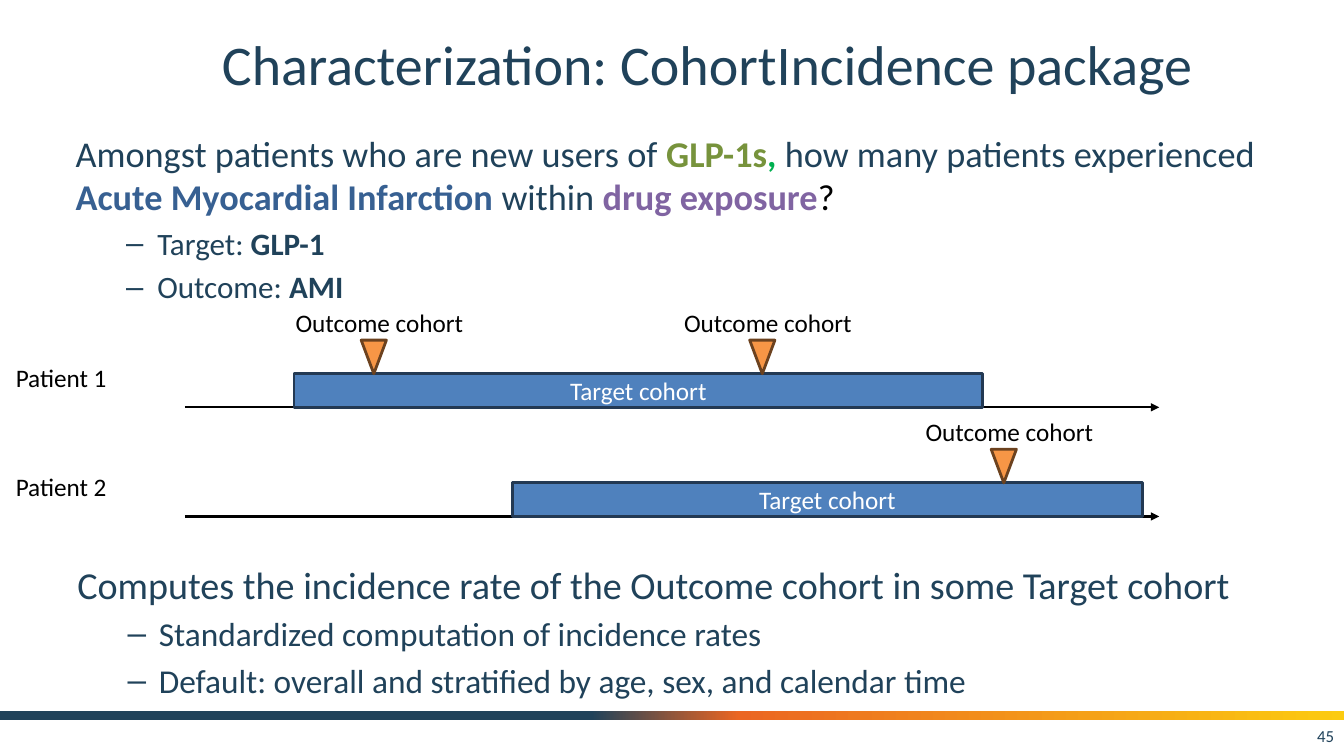
import pptx
import pptx.util
import pptx.dml.color
import pptx.enum.shapes
import pptx.enum.text
import pptx.oxml
import pptx.oxml.ns
from lxml import etree

RGB = pptx.dml.color.RGBColor
SHAPE = pptx.enum.shapes.MSO_SHAPE
ALIGN = pptx.enum.text.PP_ALIGN
ANCHOR = pptx.enum.text.MSO_ANCHOR
AUTO = pptx.enum.text.MSO_AUTO_SIZE
qn = pptx.oxml.ns.qn

NAVY = RGB(0x20, 0x42, 0x5A)
FLAME = RGB(0xEB, 0x66, 0x22)
YELLOW = RGB(0xFC, 0xCB, 0x10)
BLACK = RGB(0, 0, 0)
WHITE = RGB(255, 255, 255)
GREEN = RGB(0x77, 0x93, 0x3C)
BRIGHT_GREEN = RGB(0, 0xB0, 0x50)
BLUE = RGB(0x37, 0x60, 0x92)
PURPLE = RGB(0x80, 0x64, 0xA2)
BAR_FILL, BAR_LINE = RGB(0x4F, 0x81, 0xBD), RGB(0x23, 0x39, 0x53)
MARK_FILL, MARK_LINE = RGB(0xF7, 0x96, 0x46), RGB(0x6C, 0x42, 0x1F)

COLS = 160  # square grid, 160 columns by 90 rows
WIDTH, HEIGHT = pptx.util.Inches(13.33), pptx.util.Inches(7.5)
CELL = WIDTH / COLS


def grid(*cells):
    return [round(c * CELL) for c in cells]


def move(sp, box):
    for name, value in zip(("left", "top", "width", "height"), grid(*box)):
        setattr(sp, name, value)


def add_run(p, text, size, color, bold=False):
    r = p.add_run()
    r.text = text
    style = {"name": "Calibri", "size": pptx.util.Pt(size), "bold": bold}
    for name, value in style.items():
        setattr(r.font, name, value)
    r.font.color.rgb = color


def add_label(s, box, text, size=18, color=BLACK, align=ALIGN.LEFT, **frame):
    sp = s.shapes.add_textbox(*grid(*box))
    tf = sp.text_frame
    for name, value in frame.items():
        setattr(tf, name, value)
    tf.paragraphs[0].alignment = align
    add_run(tf.paragraphs[0], text, size, color)


def add_block(s, box, kind, fill, line):
    sp = s.shapes.add_shape(kind, *grid(*box))
    sp.shadow.inherit = False
    sp.fill.solid()
    sp.fill.fore_color.rgb = fill
    sp.line.color.rgb = line
    sp.line.width = pptx.util.Pt(2)
    return sp


def add_title(s, box, text):
    move(s.shapes.title, box)
    tf = s.shapes.title.text_frame
    tf.auto_size = AUTO.NONE
    add_run(tf.paragraphs[0], text, 40, NAVY)


def add_list(sp, box, size, sub_size, lead, items):
    """Fill a body placeholder with a plain lead paragraph and dashed items."""
    move(sp, box)
    tf = sp.text_frame
    tf.auto_size = AUTO.NONE
    p = tf.paragraphs[0]
    pPr = p._p.get_or_add_pPr()
    pPr.set("marL", "0")
    pPr.set("indent", "0")
    etree.SubElement(pPr, qn("a:buNone"))
    p.space_before = pptx.util.Pt(0)
    for run in lead:
        add_run(p, run[0], size, *run[1:])
    for item in items:
        p = tf.add_paragraph()
        p.level = 1
        pPr = p._p.get_or_add_pPr()
        pPr.set("marL", str(pptx.util.Inches(0.81)))
        pPr.set("indent", str(pptx.util.Inches(-0.31)))
        for run in item:
            add_run(p, run[0], sub_size, *run[1:])


def add_axis(s, left, right, row):
    ends = grid(left, row, right, row)
    cxn = s.shapes.add_connector(pptx.enum.shapes.MSO_CONNECTOR.STRAIGHT, *ends)
    cxn.line.color.rgb = BLACK
    cxn.line.width = pptx.util.Pt(1.5)
    etree.SubElement(cxn.line._get_or_add_ln(), qn("a:tailEnd"), type="triangle")
    etree.SubElement(cxn._element.spPr, qn("a:effectLst"))


def add_patient(s, name, axis, start, length, outcomes):
    """Draw one timeline; all heights are counted up from its axis row."""
    add_axis(s, 22, 138, axis)
    bar = add_block(s, (start, axis - 4, length, 4), SHAPE.RECTANGLE, BAR_FILL, BAR_LINE)
    tf = bar.text_frame
    tf.vertical_anchor = ANCHOR.MIDDLE
    tf.paragraphs[0].alignment = ALIGN.CENTER
    add_run(tf.paragraphs[0], "Target cohort", 18, WHITE)
    fit = {"word_wrap": False, "auto_size": AUTO.SHAPE_TO_FIT_TEXT}
    for col in outcomes:
        mark = add_block(s, (col, axis - 8, 3, 4), SHAPE.ISOSCELES_TRIANGLE,
                         MARK_FILL, MARK_LINE)
        mark.rotation = 180
        add_label(s, (col - 9, axis - 12.5, 22.5, 4.8), "Outcome cohort", **fit)
    add_label(s, (0.7, axis - 6, 13.3, 4.8), name, **fit)


def add_footer(s, row, number):
    sp = s.shapes.add_shape(SHAPE.RECTANGLE, *grid(0, row, COLS, 1))
    sp.shadow.inherit = False
    sp.line.fill.background()
    sp.fill.gradient()
    sp.fill.gradient_angle = 0
    stops = sp._element.spPr.find(qn("a:gradFill")).find(qn("a:gsLst"))
    for old in list(stops):
        stops.remove(old)
    for share, color in ((44, NAVY), (55, FLAME), (100, YELLOW)):
        gs = etree.SubElement(stops, qn("a:gs"), pos=str(share * 1000))
        etree.SubElement(gs, qn("a:srgbClr"), val=str(color))
    add_label(s, (122.7, row + 0.5, 37.3, 4.8), number, 12, NAVY, ALIGN.RIGHT,
              word_wrap=True, vertical_anchor=ANCHOR.MIDDLE)


def main():
    prs = pptx.Presentation()
    prs.slide_width, prs.slide_height = WIDTH, HEIGHT
    s = prs.slides.add_slide(prs.slide_layouts.get_by_name("Two Content"))
    question, summary = s.placeholders[1], s.placeholders[2]

    add_footer(s, 84.7, "45")
    add_title(s, (16.4, 2, 135.6, 11), "Characterization: CohortIncidence package")
    add_list(question, (7.8, 15, 144, 20.9), 25.9, 22.2, [
        ("Amongst patients who are new users of ", NAVY),
        ("GLP-1s", GREEN, True),
        (", ", BRIGHT_GREEN, True),
        ("how many patients experienced ", NAVY),
        ("Acute Myocardial Infarction ", BLUE, True),
        ("within ", NAVY),
        ("drug exposure", PURPLE, True),
        ("?", BLACK),
    ], [
        [("Target: ", NAVY), ("GLP-1", NAVY, True)],
        [("Outcome: ", NAVY), ("AMI", NAVY, True)],
    ])
    add_patient(s, "Patient 1", 48.5, 35, 82, (43, 89.25))
    add_patient(s, "Patient 2", 61.5, 61, 75, (118,))
    add_list(summary, (8, 66.2, 144, 19.2), 27.2, 23.8, [
        ("Computes the incidence rate of the Outcome cohort in some Target cohort", NAVY),
    ], [
        [("Standardized computation of incidence rates", NAVY)],
        [("Default: overall and stratified by age, sex, and calendar time", NAVY)],
    ])
    prs.save("out.pptx")


if __name__ == "__main__":
    main()
